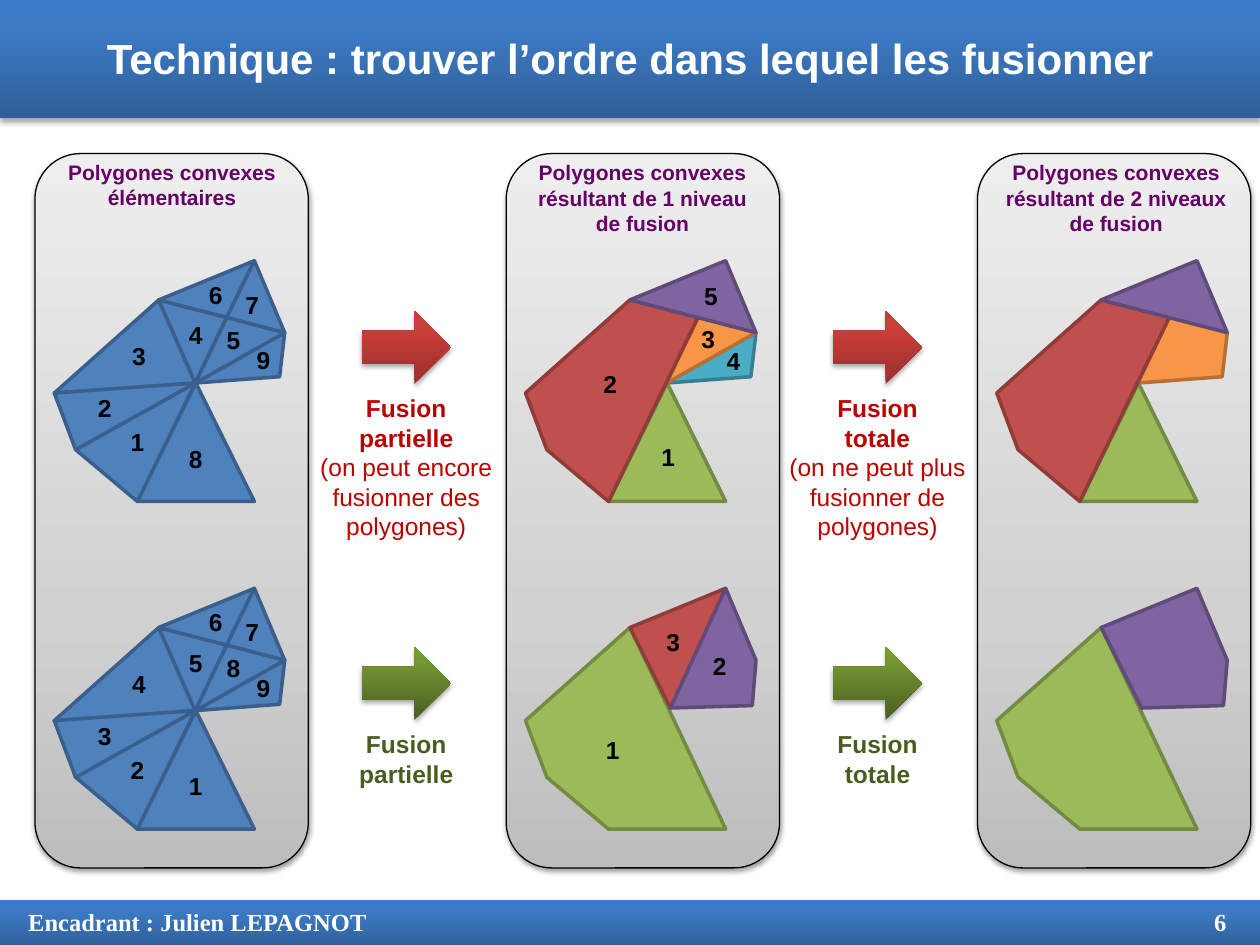
from dataclasses import dataclass

import pptx
import pptx.dml.color
import pptx.enum.shapes
import pptx.enum.text
import pptx.oxml.ns
import pptx.util
from lxml import etree

Pt = pptx.util.Pt
MSO = pptx.enum.shapes.MSO_SHAPE
ALIGN = pptx.enum.text.PP_ALIGN
qn = pptx.oxml.ns.qn


@dataclass(frozen=True)
class Theme:
    sans: str = "Arial"
    serif: str = "Times New Roman"
    title_size: int = 24
    heading_size: int = 12
    body_size: int = 14
    white: str = "FFFFFF"
    black: str = "000000"
    heading: str = "660066"
    partial_text: str = "BC0000"
    total_text: str = "495D21"
    # Gradients run from bottom to top: (position in %, colour)
    bar: tuple = ((0, "2F5F99"), (80, "3D7CC7"), (100, "3A7CCB"))
    panel: tuple = ((0, "BDBDBD"), (35, "D1D1D1"), (100, "EEEEEE"))
    red_arrow: tuple = ((0, "9C2F2D"), (80, "CB3E3A"), (100, "CE3B37"))
    green_arrow: tuple = ((0, "495D21"), (80, "759731"), (100, "7A9F31"))
    # Polygon colours: (fill, outline)
    blue: tuple = ("4F81BD", "3A5F8C")
    green: tuple = ("9BBB59", "738A42")
    red: tuple = ("C0504D", "8E3B39")
    purple: tuple = ("8064A2", "5F4A78")
    orange: tuple = ("F79646", "B76F34")
    teal: tuple = ("4BACC6", "377F92")


T = Theme()
COLUMN_STEP, ROW_STEP = 269.3, 187.2

# Corners of the figure in the first column and row
CORNERS = {
    "A": (90.7, 171.4), "B": (145.4, 149), "C": (162.7, 190.1),
    "D": (159.8, 215.3), "E": (31, 224.6), "F": (43.2, 257),
    "G": (78.5, 286.6), "H": (145.4, 286.6), "M": (129.6, 181.4),
    "O": (111.6, 218.9), "P": (113.8, 217.4), "Q": (160.6, 216),
}

# Elementary triangles: corners, label centre, number in each row
ELEMENTARY = [
    ("GOH", (112, 262.1), (8, 1)),
    ("FOG", (78.8, 252.7), (1, 2)),
    ("AOE", (79.6, 203.8), (3, 4)),
    ("AMO", (112, 191.5), (4, 5)),
    ("OCD", (150.8, 205.9), (9, 9)),
    ("AMB", (123.5, 168.5), (6, 6)),
    ("OCM", (133.6, 194.4), (5, 8)),
    ("BCM", (144.4, 174.2), (7, 7)),
    ("FOE", (60.1, 233.3), (2, 3)),
]

# Merged polygons by (column, row): corners, colours, label centre, number
MERGED = {
    (1, 0): [
        ("OCD", T.teal, (150.1, 206.6), 4),
        ("GOH", T.green, (112.7, 261.4), 1),
        ("OCM", T.orange, (135.7, 193.7), 3),
        ("GFEAM", T.red, (79.6, 219.6), 2),
        ("ABC", T.purple, (137.2, 169.2), 5),
    ],
    (1, 1): [
        ("HGFEA", T.green, (81, 241.2), 1),
        ("PAB", T.red, (115.6, 180), 3),
        ("PBCQ", T.purple, (142.2, 193.7), 2),
    ],
    (2, 0): [
        ("OMCD", T.orange, None, None),
        ("GOH", T.green, None, None),
        ("GFEAM", T.red, None, None),
        ("ABC", T.purple, None, None),
    ],
    (2, 1): [
        ("HGFEA", T.green, None, None),
        ("PABCQ", T.purple, None, None),
    ],
}

# Panel headings: left edge, height, lines
HEADINGS = [
    (24.3, 36, ["Polygones convexes", "élémentaires"]),
    (293.2, 51, ["Polygones convexes résultant de 1 niveau de fusion"]),
    (563.8, 51, ["Polygones convexes résultant de 2 niveaux de fusion"]),
]

# Fusion steps by row: arrow top, caption width, gradient, text colour,
# then bold and plain caption lines for each step
STEPS = [
    (177.6, 120, T.red_arrow, T.partial_text, [
        (["Fusion", "partielle"], ["(on peut encore", "fusionner des", "polygones)"]),
        (["Fusion", "totale"], ["(on ne peut plus", "fusionner de", "polygones)"]),
    ]),
    (369.6, 74, T.green_arrow, T.total_text, [
        (["Fusion", "partielle"], []),
        (["Fusion", "totale"], []),
    ]),
]


def rgb(value):
    return pptx.dml.color.RGBColor.from_string(value)


def add_text(slide, box, lines, size, color, font=T.sans, align=ALIGN.CENTER,
             wrap=True, plain=()):
    """Bold lines, followed by the plain ones."""
    tf = slide.shapes.add_textbox(*map(Pt, box)).text_frame
    tf.word_wrap = wrap
    for i, line in enumerate([*lines, *plain]):
        p = tf.add_paragraph() if i else tf.paragraphs[0]
        p.text = line
        p.alignment = align
        p.font.name, p.font.size = font, Pt(size)
        p.font.bold = i < len(lines)
        p.font.color.rgb = rgb(color)
    return tf


def add_gradient_shape(slide, kind, box, stops, shadow=(35, 1.8), outline=None):
    """Shadow is (opacity in %, distance)."""
    sp = slide.shapes.add_shape(kind, *map(Pt, box))
    sp.fill.gradient()
    sp.fill.gradient_angle = 90
    props = sp._element.spPr
    stop_list = props.find(".//" + qn("a:gsLst"))
    for old in list(stop_list):
        stop_list.remove(old)
    for position, color in stops:
        stop = etree.SubElement(stop_list, qn("a:gs"), pos=str(position * 1000))
        etree.SubElement(stop, qn("a:srgbClr"), val=color)
    if outline:
        sp.line.color.rgb = rgb(outline)
        sp.line.width = Pt(0.75)
    else:
        sp.line.fill.background()
    opacity, distance = shadow
    effects = etree.SubElement(props, qn("a:effectLst"))
    outer = etree.SubElement(effects, qn("a:outerShdw"), blurRad=str(Pt(3.1)),
                             dist=str(Pt(distance)), dir="5400000", rotWithShape="0")
    color = etree.SubElement(outer, qn("a:srgbClr"), val=T.black)
    etree.SubElement(color, qn("a:alpha"), val=str(opacity * 1000))
    return sp


def add_polygon(slide, corners, colors, column, row):
    dx, dy = column * COLUMN_STEP, row * ROW_STEP
    points = [(Pt(CORNERS[c][0] + dx), Pt(CORNERS[c][1] + dy)) for c in corners]
    if corners == "GOH":
        (left, bottom), (_, top), (right, _) = points
        sp = slide.shapes.add_shape(MSO.ISOSCELES_TRIANGLE, left, top,
                                    right - left, bottom - top)
    else:
        builder = slide.shapes.build_freeform(*points[0])
        builder.add_line_segments(points[1:], close=True)
        sp = builder.convert_to_shape()
    sp.shadow.inherit = False
    sp.fill.solid()
    sp.fill.fore_color.rgb = rgb(colors[0])
    sp.line.color.rgb = rgb(colors[1])
    sp.line.width = Pt(2)


def add_figure(slide, polygons, column, row):
    for corners, colors, _, _ in polygons:
        add_polygon(slide, corners, colors, column, row)
    for _, _, center, number in polygons:
        if number:
            x = center[0] + column * COLUMN_STEP
            y = center[1] + row * ROW_STEP
            add_text(slide, (x - 11.2, y - 12.2, 22.4, 24.4), [str(number)],
                     T.body_size, T.black, align=ALIGN.LEFT, wrap=False)


def add_bars(slide):
    add_gradient_shape(slide, MSO.RECTANGLE, (0, 514, 720, 27), T.bar)
    add_gradient_shape(slide, MSO.RECTANGLE, (0, 0, 720, 67.5), T.bar)
    tf = add_text(slide, (9, 514.8, 702, 24.2), ["Encadrant : Julien LEPAGNOT\t6"],
                  T.body_size, T.white, T.serif, ALIGN.LEFT)
    tabs = etree.Element(qn("a:tabLst"))
    etree.SubElement(tabs, qn("a:tab"), pos=str(Pt(684.7)), algn="r")
    tf.paragraphs[0]._p.pPr.insert(0, tabs)
    add_text(slide, (11.2, 15.1, 698, 36),
             ["Technique : trouver l’ordre dans lequel les fusionner"],
             T.title_size, T.white)


def add_step(slide, column, top, width, stops, color, bold, plain):
    left = 206.6 + column * COLUMN_STEP
    arrow = add_gradient_shape(slide, MSO.RIGHT_ARROW, (left, top, 51.1, 41.8), stops)
    arrow.adjustments[0], arrow.adjustments[1] = 0.45, 0.5
    height = 7.2 + 17 * len(bold + plain)
    add_text(slide, (left + (51.1 - width) / 2, top + 43.7, width, height), bold,
             T.body_size, color, plain=plain)


def main():
    prs = pptx.Presentation()
    prs.slide_width, prs.slide_height = Pt(720), Pt(540)
    slide = prs.slides.add_slide(prs.slide_layouts[6])
    add_bars(slide)
    for column, (left, height, lines) in enumerate(HEADINGS):
        add_gradient_shape(slide, MSO.ROUNDED_RECTANGLE,
                           (20 + column * COLUMN_STEP, 87.8, 156.2, 408.2),
                           T.panel, (38, 1.6), T.black)
        add_text(slide, (left, 87.8, 148, height), lines, T.heading_size, T.heading)
    for row, (top, width, stops, color, captions) in enumerate(STEPS):
        for column, (bold, plain) in enumerate(captions):
            add_step(slide, column, top, width, stops, color, bold, plain)
        triangles = [(c, T.blue, center, n[row]) for c, center, n in ELEMENTARY]
        add_figure(slide, triangles, 0, row)
    for (column, row), polygons in MERGED.items():
        add_figure(slide, polygons, column, row)
    prs.save("out.pptx")


if __name__ == "__main__":
    main()
